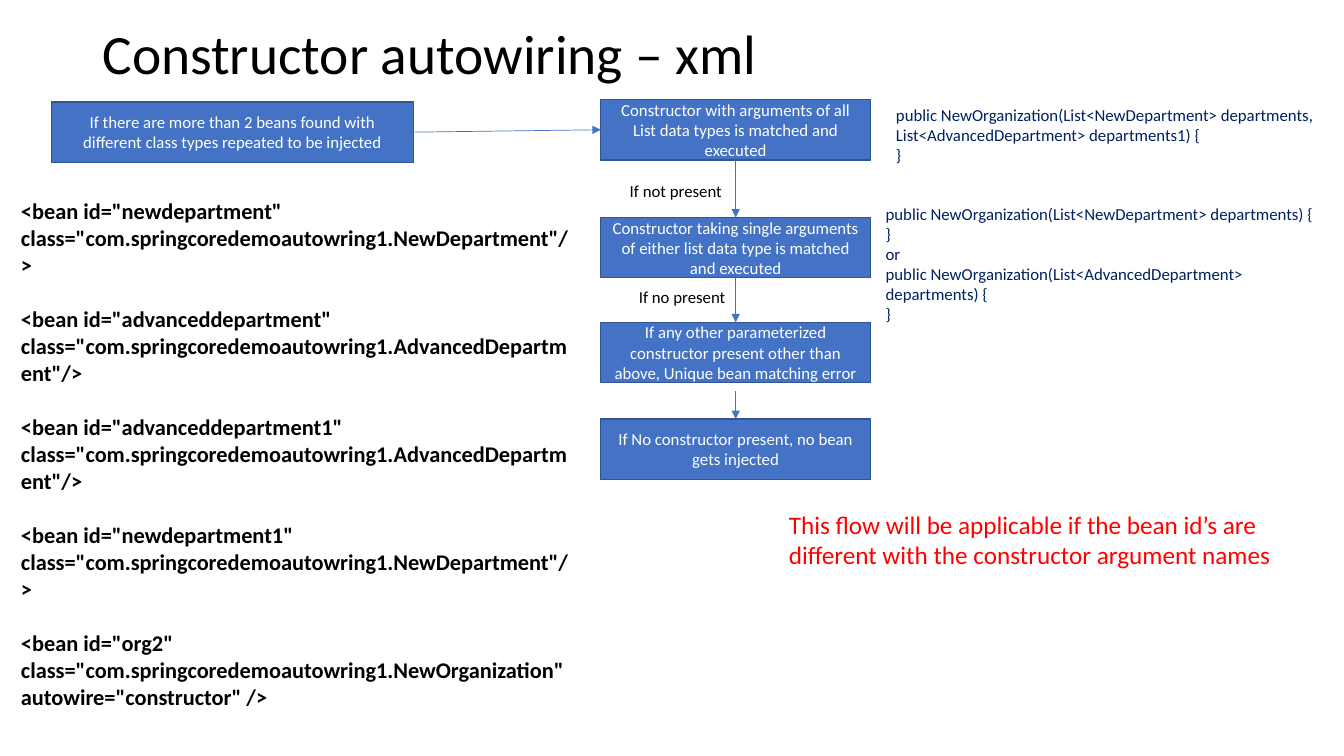
from lxml import etree
from pptx import Presentation
from pptx.dml.color import RGBColor
from pptx.enum.shapes import MSO_CONNECTOR as Connector, MSO_SHAPE as Shape
from pptx.enum.text import MSO_ANCHOR as Anchor, MSO_AUTO_SIZE as AutoSize, PP_ALIGN as Align
from pptx.oxml.ns import qn
from pptx.util import Cm, Pt

FONT = "Calibri"
BLUE, EDGE, NAVY = "4472C4", "325491", "002060"
BLACK, WHITE, RED = "000000", "FFFFFF", "FF0000"
STEP_HEIGHT = 1.52

CONDITION = "If there are more than 2 beans found with different class types repeated to be injected"
STEPS = [
    (0, "Constructor with arguments of all List data types is matched and executed"),
    (2.97, "Constructor taking single arguments of either list data type is matched and executed"),
    (5.61, "If any other parameterized constructor present other than above, Unique bean matching error"),
    (8.05, "If No constructor present, no bean gets injected"),
]
BRANCHES = [(0.48, 1.93, "If not present"), (0.71, 4.6, "If no present")]
BEANS = [
    '<bean id="newdepartment" class="com.springcoredemoautowring1.NewDepartment"/>',
    '<bean id="advanceddepartment" class="com.springcoredemoautowring1.AdvancedDepartment"/>',
    '<bean id="advanceddepartment1" class="com.springcoredemoautowring1.AdvancedDepartment"/>',
    '<bean id="newdepartment1" class="com.springcoredemoautowring1.NewDepartment"/>',
    '<bean id="org2" class="com.springcoredemoautowring1.NewOrganization" autowire="constructor" />',
]
BOTH_LISTS = [
    "public NewOrganization(List<NewDepartment> departments, List<AdvancedDepartment> departments1) {",
    "}",
]
EITHER_LIST = [
    "public NewOrganization(List<NewDepartment> departments) {",
    "}",
    "or",
    "public NewOrganization(List<AdvancedDepartment> departments) {",
    "}",
]
NOTE = "This flow will be applicable if the bean id’s are different with the constructor argument names"


def rgb(value):
    return RGBColor.from_string(value)


def write(frame, lines, size, color, bold=False, align=Align.LEFT, gap=0):
    frame.word_wrap = True
    for number, line in enumerate(lines):
        paragraph = frame.add_paragraph() if number else frame.paragraphs[0]
        paragraph.alignment = align
        if number and gap:
            paragraph.space_before = Pt(gap)
        run = paragraph.add_run()
        run.text = line
        run.font.name = FONT
        run.font.size = Pt(size)
        run.font.bold = bold
        run.font.color.rgb = rgb(color)


def add_title(slide, left, top, width, height):
    title = slide.shapes.title
    title.left, title.top, title.width, title.height = map(Cm, (left, top, width, height))
    frame = title.text_frame
    frame.auto_size = AutoSize.NONE
    frame.vertical_anchor = Anchor.MIDDLE
    write(frame, ["Constructor autowiring – xml"], 39.6, BLACK)
    frame.paragraphs[0].line_spacing = 0.9


def add_text(slide, left, top, width, height, lines, size, color, **style):
    box = slide.shapes.add_textbox(Cm(left), Cm(top), Cm(width), Cm(height))
    write(box.text_frame, lines, size, color, **style)


def add_step(slide, left, top, width, text):
    step = slide.shapes.add_shape(Shape.RECTANGLE, Cm(left), Cm(top), Cm(width), Cm(STEP_HEIGHT))
    step.shadow.inherit = False
    step.fill.solid()
    step.fill.fore_color.rgb = rgb(BLUE)
    step.line.color.rgb = rgb(EDGE)
    step.line.width = Pt(1)
    step.text_frame.vertical_anchor = Anchor.MIDDLE
    write(step.text_frame, [text], 12, WHITE, align=Align.CENTER)
    return step


def add_arrow(slide, source, source_side, target, target_side, start=(0, 0)):
    arrow = slide.shapes.add_connector(Connector.STRAIGHT, *map(Cm, start), Cm(0), Cm(0))
    if source is not None:
        arrow.begin_connect(source, source_side)
    arrow.end_connect(target, target_side)
    arrow.line.color.rgb = rgb(BLUE)
    arrow.line.width = Pt(0.5)
    etree.SubElement(arrow.line._get_or_add_ln(), qn("a:tailEnd"), type="triangle")
    etree.SubElement(arrow._element.spPr, qn("a:effectLst"))


def add_flow(slide, left, top, width):
    steps = [add_step(slide, left, top + offset, width, text) for offset, text in STEPS]
    matched, single, error, missing = steps
    add_arrow(slide, matched, 2, single, 0)
    add_arrow(slide, single, 2, error, 0)
    add_arrow(slide, None, 2, missing, 0, start=(left + width / 2, top + 7.35))
    for across, down, label in BRANCHES:
        add_text(slide, left + across, top + down, 3.78, 0.77, [label], 12, BLACK)
    return matched


def main():
    deck = Presentation()
    deck.slide_width, deck.slide_height = Cm(33.87), Cm(19.05)
    slide = deck.slides.add_slide(deck.slide_layouts[5])
    add_title(slide, 2.33, 1.02, 29.21, 0.81)
    condition = add_step(slide, 1.3, 2.57, 9.12, CONDITION)
    matched = add_flow(slide, 15.14, 2.51, 6.8)
    add_arrow(slide, condition, 3, matched, 1)
    add_text(slide, 0.28, 4.85, 14.33, 13.26, BEANS, 16, BLACK, bold=True, gap=19.5)
    add_text(slide, 22.33, 2.51, 11.35, 1.8, BOTH_LISTS, 12, NAVY)
    add_text(slide, 22.07, 5, 11.8, 3.71, EITHER_LIST, 12, NAVY)
    add_text(slide, 19.63, 12.7, 14.22, 1.8, [NOTE], 18, RED)
    deck.save("out.pptx")


if __name__ == "__main__":
    main()
